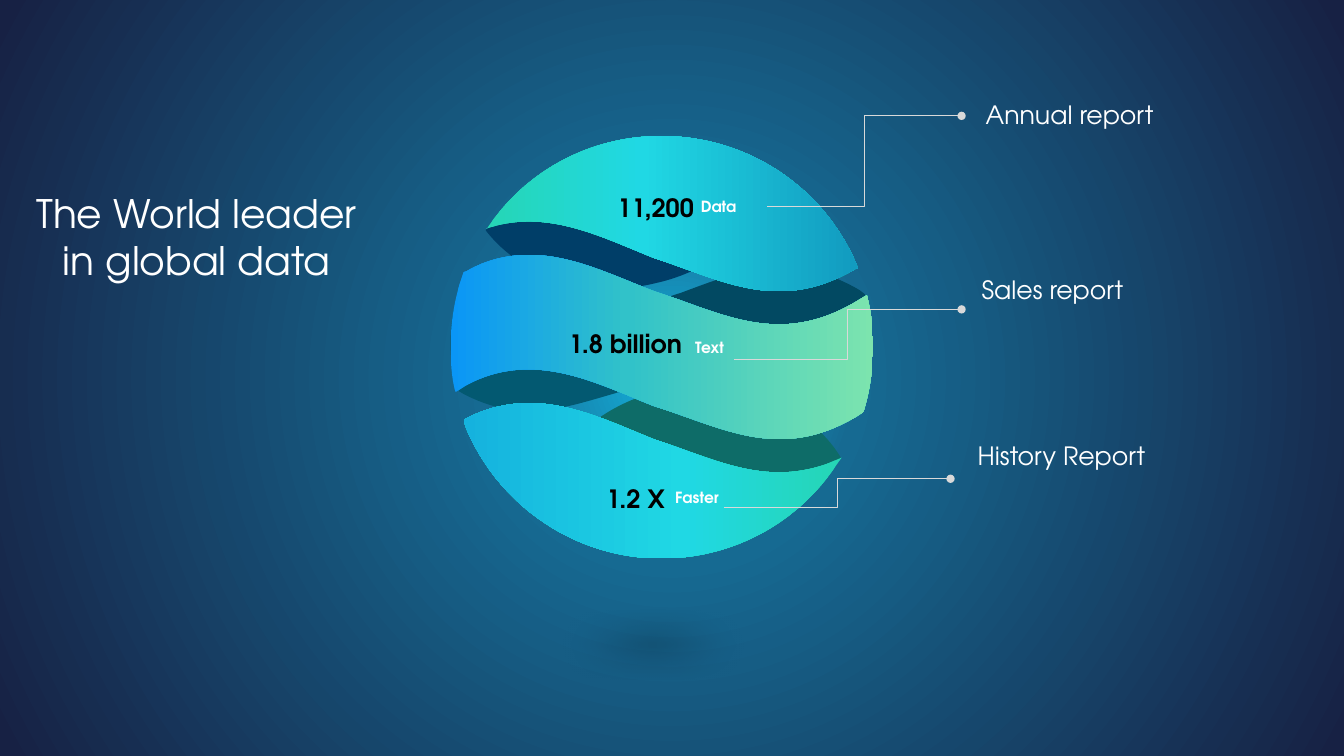
from dataclasses import dataclass
from math import cos, radians, sin

from lxml.etree import SubElement
from pptx import Presentation
from pptx.dml.color import RGBColor
from pptx.enum.shapes import MSO_CONNECTOR, MSO_SHAPE
from pptx.enum.text import MSO_ANCHOR, MSO_AUTO_SIZE, PP_ALIGN
from pptx.oxml.ns import qn
from pptx.util import Inches, Pt


@dataclass(frozen=True)
class Theme:
    font: str = "TeX Gyre Adventor"
    white: str = "FFFFFF"
    black: str = "000000"
    line: str = "D9D9D9"
    rim: str = "325491"
    title: int = 28
    large: int = 18
    small: int = 11
    rule: float = 0.5
    # Each stop: position, colour, opacity in percent
    back: tuple = ((0, "15B2DE", 100), (24, "166A92", 100), (99, "172144", 100))
    shadow: tuple = ((0, "000000", 84), (99, "173054", 0))
    top: tuple = ((0, "26D6B5", 100), (42, "20D8E4", 100), (100, "129BC0", 100))
    middle: tuple = ((0, "0A96F6", 100), (42, "31C2C9", 100), (100, "7CE4AE", 100))
    bottom: tuple = ((0, "26D6B5", 100), (42, "20D8E4", 100), (100, "15B2DE", 100))


@dataclass(frozen=True)
class Ribbon:
    """Outline from start; steps hold 2 numbers for a line, 6 for a Bezier curve."""
    box: tuple
    start: tuple
    steps: tuple
    fill: str | tuple
    angle: int = 0
    spin: float = 0


@dataclass(frozen=True)
class Label:
    text: str
    box: tuple
    size: int = 18
    color: str = "FFFFFF"
    bold: bool = False
    align: PP_ALIGN = PP_ALIGN.LEFT


@dataclass(frozen=True)
class Leader:
    start: tuple
    end: tuple


THEME = Theme()
MID = PP_ALIGN.CENTER

FOLDS = (
    Ribbon((4.47, 3.01, 1.79, 1.06), (5.28, 4.08), (
        (5.07, 4.08, 4.85, 4.04, 4.6, 3.91), (4.55, 3.88), (4.55, 3.86),
        (4.49, 3.72, 4.47, 3.56, 4.47, 3.4), (4.47, 3.3, 4.48, 3.19, 4.5, 3.09),
        (4.52, 3.03), (4.6, 3.07), (5.18, 3.37, 5.62, 3.21, 6.11, 3.06),
        (6.26, 3.01), (6.26, 3.85), (6.11, 3.9),
        (5.83, 3.98, 5.56, 4.07, 5.28, 4.08)), "035971"),
    Ribbon((6.59, 2.65, 2.05, 1.44), (7.73, 2.65), (
        (7.98, 2.65, 8.24, 2.71, 8.53, 2.88), (8.58, 2.92), (8.59, 2.94),
        (8.66, 3.14, 8.64, 3.4, 8.64, 3.57), (8.64, 3.74, 8.62, 3.82, 8.59, 3.96),
        (8.52, 4.05), (8.49, 4.03, 8.56, 4.04, 8.53, 4.02),
        (7.86, 3.62, 7.34, 3.83, 6.77, 4.03), (6.59, 4.09), (6.59, 2.96),
        (6.77, 2.9), (7.09, 2.78, 7.4, 2.66, 7.73, 2.65)), "024962"),
    Ribbon((5.47, 3.83, 2.83, 1.04), (6.75, 3.84), (
        (7.41, 3.76, 8.03, 4.05, 8.33, 4.52), (8.34, 4.54), (8.34, 4.55),
        (7.78, 4.92, 7.32, 4.74, 6.79, 4.66), (6.41, 4.58, 5.98, 4.44, 5.56, 4.59),
        (5.49, 4.62), (5.49, 4.62), (5.74, 4.21, 6.2, 3.91, 6.75, 3.84)),
        "0E6C68", spin=173.3),
    Ribbon((4.86, 1.79, 2.88, 1.05), (6.5, 2.81), (
        (5.84, 2.97, 5.19, 2.75, 4.83, 2.3), (4.82, 2.29), (4.82, 2.28),
        (5.33, 1.84, 5.82, 1.97, 6.37, 1.99), (6.76, 2.03, 7.21, 2.13, 7.62, 1.93),
        (7.68, 1.89), (7.68, 1.89), (7.48, 2.33, 7.05, 2.69, 6.5, 2.81)),
        "003E68", spin=347),
)
BANDS = (
    Ribbon((4.82, 1.35, 3.68, 1.54), (6.56, 1.35), (
        (7.43, 1.35, 8.18, 1.87, 8.5, 2.63), (8.51, 2.66), (8.5, 2.66),
        (7.73, 3.12, 7.17, 2.78, 6.49, 2.56), (6.01, 2.37, 5.48, 2.09, 4.92, 2.24),
        (4.82, 2.27), (4.83, 2.27), (5.2, 1.71, 5.84, 1.35, 6.56, 1.35)), THEME.top),
    Ribbon((4.47, 2.53, 4.19, 1.83), (5.19, 2.53), (
        (5.65, 2.51, 6.09, 2.74, 6.49, 2.89), (7.17, 3.11, 7.73, 3.45, 8.5, 2.99),
        (8.6, 2.93), (8.62, 3.02), (8.65, 3.16, 8.66, 3.3, 8.66, 3.44),
        (8.66, 3.66, 8.63, 3.87, 8.57, 4.07), (8.56, 4.09), (8.5, 4.13),
        (7.73, 4.59, 7.17, 4.24, 6.49, 4.03), (5.93, 3.81, 5.3, 3.46, 4.63, 3.82),
        (4.52, 3.89), (4.51, 3.86), (4.48, 3.73, 4.47, 3.59, 4.47, 3.44),
        (4.47, 3.23, 4.5, 3.02, 4.56, 2.82), (4.6, 2.7), (4.63, 2.69),
        (4.82, 2.58, 5.01, 2.54, 5.19, 2.53)), THEME.middle),
    Ribbon((4.6, 4, 3.75, 1.54), (5.19, 4), (
        (5.65, 3.98, 6.09, 4.2, 6.49, 4.36), (7.08, 4.55, 7.58, 4.83, 8.21, 4.6),
        (8.35, 4.54), (8.3, 4.61), (7.93, 5.17, 7.29, 5.54, 6.56, 5.54),
        (5.7, 5.54, 4.95, 5.01, 4.63, 4.26), (4.6, 4.17), (4.63, 4.15),
        (4.82, 4.05, 5.01, 4.01, 5.19, 4)), THEME.bottom, 180),
)
TITLE = Label("The World leader in global data", (0.15, 1.83, 3.6, 1.04),
              THEME.title, align=MID)
COUNTS = (
    Label("11,200", (5.79, 1.86, 1.43, 0.4), THEME.large, THEME.black, True, MID),
    Label("1.8 billion", (5.49, 3.21, 1.43, 0.4), THEME.large, THEME.black, True, MID),
    Label("1.2 X", (5.59, 4.75, 1.43, 0.4), THEME.large, THEME.black, True, MID),
)
UNITS = (
    Label("Data", (6.65, 1.91, 0.96, 0.29), THEME.small, THEME.white, True, MID),
    Label("Text", (6.56, 3.31, 0.96, 0.29), THEME.small, THEME.white, True, MID),
    Label("Faster", (6.6, 4.79, 0.96, 0.29), THEME.small, THEME.white, True),
)
LEADERS = (
    Leader((7.61, 2.05), (9.54, 1.15)),
    Leader((7.28, 3.57), (9.54, 3.07)),
    Leader((7.18, 5.03), (9.43, 4.75)),
)
REPORTS = (
    Label("Annual report", (9.68, 0.94, 2.45, 0.4)),
    Label("Sales report", (9.64, 2.67, 2.45, 0.4)),
    Label("History Report", (9.6, 4.32, 2.45, 0.4)),
)


def blend(owner, root, stops: tuple, angle: int | None = None) -> None:
    """Fill owner with a gradient: linear at angle, or circular if None."""
    owner.fill.gradient()
    grad = root.find(".//" + qn("a:gradFill"))
    for child in list(grad):
        grad.remove(child)
    rows = SubElement(grad, qn("a:gsLst"))
    for place, color, alpha in stops:
        stop = SubElement(rows, qn("a:gs"), pos=str(place * 1000))
        tint = SubElement(stop, qn("a:srgbClr"), val=color)
        if alpha < 100:
            SubElement(tint, qn("a:alpha"), val=str(alpha * 1000))
    if angle is None:
        ring = SubElement(grad, qn("a:path"), path="circle")
        SubElement(ring, qn("a:fillToRect"), l="50000", t="50000", r="50000", b="50000")
    else:
        SubElement(grad, qn("a:lin"), ang=str(angle * 60000), scaled="0")


def bend(shape, ribbon: Ribbon) -> None:
    """Give the shape its box, spin and curved outline."""
    left, top, width, height = ribbon.box
    shape.left, shape.top, shape.width, shape.height = map(Inches, ribbon.box)
    shape.rotation = ribbon.spin
    turn = radians(-ribbon.spin)
    route = shape.element.find(".//" + qn("a:path"))
    route.set("w", str(Inches(width)))
    route.set("h", str(Inches(height)))
    for child in list(route):
        route.remove(child)
    for step in (ribbon.start, *ribbon.steps):
        kind = "a:cubicBezTo" if len(step) == 6 else "a:lnTo" if len(route) else "a:moveTo"
        node = SubElement(route, qn(kind))
        for x, y in zip(step[::2], step[1::2]):
            dx, dy = x - left - width / 2, y - top - height / 2
            across = width / 2 + dx * cos(turn) - dy * sin(turn)
            down = height / 2 + dx * sin(turn) + dy * cos(turn)
            SubElement(node, qn("a:pt"), x=str(Inches(across)), y=str(Inches(down)))
    SubElement(route, qn("a:close"))


def draw_ribbon(slide, ribbon: Ribbon) -> None:
    pen = slide.shapes.build_freeform(*map(Inches, ribbon.start), scale=1.0)
    pen.add_line_segments([tuple(map(Inches, step[-2:])) for step in ribbon.steps])
    shape = pen.convert_to_shape()
    bend(shape, ribbon)
    shape.shadow.inherit = False
    shape.line.fill.background()
    if isinstance(ribbon.fill, str):
        shape.fill.solid()
        shape.fill.fore_color.rgb = RGBColor.from_string(ribbon.fill)
    else:
        blend(shape, shape.element, ribbon.fill, ribbon.angle)


def draw_shadow(slide) -> None:
    shape = slide.shapes.add_shape(MSO_SHAPE.OVAL, *map(Inches, (3.93, 6.01, 5.09, 0.75)))
    shape.shadow.inherit = False
    shape.line.width = Pt(1)
    shape.line.color.rgb = RGBColor.from_string(THEME.rim)
    blend(shape, shape.element, THEME.shadow)
    effects = shape.element.find(".//" + qn("a:effectLst"))
    SubElement(effects, qn("a:softEdge"), rad=str(Pt(25)))


def write(shape, label: Label) -> None:
    frame = shape.text_frame
    frame.text = label.text
    frame.word_wrap = True
    frame.auto_size = MSO_AUTO_SIZE.SHAPE_TO_FIT_TEXT
    frame.vertical_anchor = MSO_ANCHOR.TOP
    line = frame.paragraphs[0]
    line.alignment = label.align
    line.font.name, line.font.size, line.font.bold = THEME.font, Pt(label.size), label.bold
    line.font.color.rgb = RGBColor.from_string(label.color)


def add_label(slide, label: Label) -> None:
    write(slide.shapes.add_textbox(*map(Inches, label.box)), label)


def draw_leader(slide, leader: Leader) -> None:
    link = slide.shapes.add_connector(
        MSO_CONNECTOR.ELBOW, *map(Inches, leader.start + leader.end))
    link.line.width = Pt(THEME.rule)
    link.line.color.rgb = RGBColor.from_string(THEME.line)
    props = link.element.spPr
    SubElement(props.find(qn("a:ln")), qn("a:tailEnd"), type="oval")
    SubElement(props, qn("a:effectLst"))


def main() -> None:
    deck = Presentation()
    deck.slide_width, deck.slide_height = Inches(40 / 3), Inches(7.5)
    slide = deck.slides.add_slide(deck.slide_layouts[5])
    blend(slide.background, slide.element, THEME.back)
    title = slide.shapes.title
    title.left, title.top, title.width, title.height = map(Inches, TITLE.box)
    write(title, TITLE)
    for fold in FOLDS:
        draw_ribbon(slide, fold)
    draw_shadow(slide)
    for band, count, unit in zip(BANDS, COUNTS, UNITS):
        draw_ribbon(slide, band)
        add_label(slide, count)
        add_label(slide, unit)
    for leader, report in zip(LEADERS, REPORTS):
        draw_leader(slide, leader)
        add_label(slide, report)
    deck.save("out.pptx")


if __name__ == "__main__":
    main()
